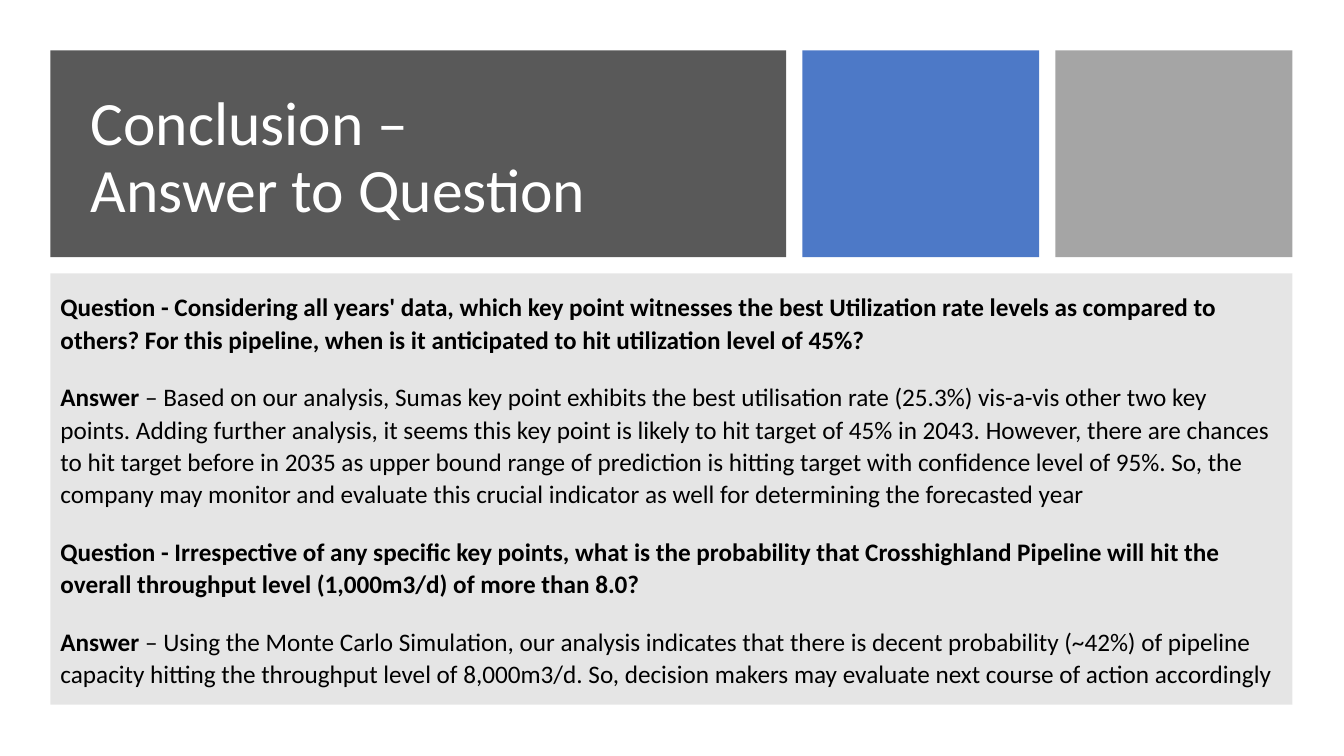
from lxml.etree import SubElement
from pptx import Presentation
from pptx.dml.color import RGBColor
from pptx.enum.shapes import MSO_SHAPE
from pptx.enum.text import MSO_ANCHOR, MSO_AUTO_SIZE, PP_ALIGN
from pptx.oxml.ns import qn
from pptx.util import Cm, Pt

WHITE = RGBColor(0xFF, 0xFF, 0xFF)
BLACK = RGBColor(0x00, 0x00, 0x00)
DARK = RGBColor(0x59, 0x59, 0x59)
BLUE = RGBColor(0x44, 0x72, 0xC4)
SILVER = RGBColor(0xA5, 0xA5, 0xA5)
GREY = RGBColor(0x80, 0x80, 0x80)

LEFT, TOP, GAP = 1.27, 1.27, 0.41
HIGH = 5.21

# Each paragraph is a bold part and a plain part
TEXT = [
    ("Question - Considering all years' data, which key point witnesses the best "
     "Utilization rate levels as compared to others? For this pipeline, when is it "
     "anticipated to hit utilization level of 45%?", ""),
    ("Answer",
     " – Based on our analysis, Sumas key point exhibits the best utilisation rate "
     "(25.3%) vis-a-vis other two key points. Adding further analysis, it seems this "
     "key point is likely to hit target of 45% in 2043. However, there are chances to "
     "hit target before in 2035 as upper bound range of prediction is hitting target "
     "with confidence level of 95%. So, the company may monitor and evaluate this "
     "crucial indicator as well for determining the forecasted year"),
    ("Question - Irrespective of any specific key points, what is the probability that "
     "Crosshighland Pipeline will hit the overall throughput level (1,000m3/d) of more "
     "than 8.0?", ""),
    ("Answer",
     " – Using the Monte Carlo Simulation, our analysis indicates that there is decent "
     "probability (~42%) of pipeline capacity hitting the throughput level of 8,000m3/d. "
     "So, decision makers may evaluate next course of action accordingly"),
]


class Deck:
    font = "Calibri"

    def __init__(self, slide):
        self.slide = slide

    def block(self, left, top, width, height, color, alpha=100):
        box = self.slide.shapes.add_shape(
            MSO_SHAPE.RECTANGLE, Cm(left), Cm(top), Cm(width), Cm(height))
        box.shadow.inherit = False
        box.fill.solid()
        box.fill.fore_color.rgb = color
        box.line.fill.background()
        if alpha < 100:
            tint = box.element.spPr.find(".//" + qn("a:srgbClr"))
            SubElement(tint, qn("a:alpha"), val=str(alpha * 1000))

    def place(self, holder, left, top, width, height):
        holder.left, holder.top = Cm(left), Cm(top)
        holder.width, holder.height = Cm(width), Cm(height)
        # Bring the placeholder in front of the blocks
        holder.element.getparent().append(holder.element)
        frame = holder.text_frame
        frame.word_wrap = True
        frame.auto_size = MSO_AUTO_SIZE.NONE
        frame.vertical_anchor = MSO_ANCHOR.MIDDLE
        return frame

    def style(self, run, size, color, bold=False):
        run.font.name = self.font
        run.font.size = Pt(size)
        run.font.color.rgb = color
        run.font.bold = bold

    def title(self, text, *area):
        para = self.place(self.slide.shapes.title, *area).paragraphs[0]
        para.text = text
        para.alignment = PP_ALIGN.LEFT
        para.line_spacing = 0.9
        for run in para.runs:
            self.style(run, 44, WHITE)

    def body(self, rows, *area):
        frame = self.place(self.slide.placeholders[1], *area)
        frame.text = "\n".join(bold for bold, plain in rows)
        for para, (bold, plain) in zip(frame.paragraphs, rows):
            para.line_spacing = 1.07
            para.space_before, para.space_after = Pt(10), Pt(8)
            props = para._p.get_or_add_pPr()
            props.set("marL", "0")
            props.set("indent", "0")
            SubElement(props, qn("a:buNone"))
            self.style(para.runs[0], 18, BLACK, True)
            if plain:
                run = para.add_run()
                run.text = plain
                self.style(run, 18, BLACK)


def main():
    show = Presentation()
    show.slide_width, show.slide_height = Cm(33.87), Cm(19.05)
    deck = Deck(show.slides.add_slide(show.slide_layouts[1]))

    # Top row of blocks
    left = LEFT
    for width, color, alpha in ((18.54, DARK, 100), (5.97, BLUE, 95), (5.97, SILVER, 100)):
        deck.block(left, TOP, width, HIGH, color, alpha)
        left += width + GAP

    # Panel under the row, as wide as the row
    panel = (LEFT, TOP + HIGH + GAP, left - GAP - LEFT, 10.87)
    deck.block(*panel, GREY, 20)

    # Title and text
    deck.title("Conclusion – \nAnswer to Question", 2.03, 2.03, 16.92, 3.96)
    deck.body(TEXT, *panel)

    show.save("out.pptx")


if __name__ == "__main__":
    main()
